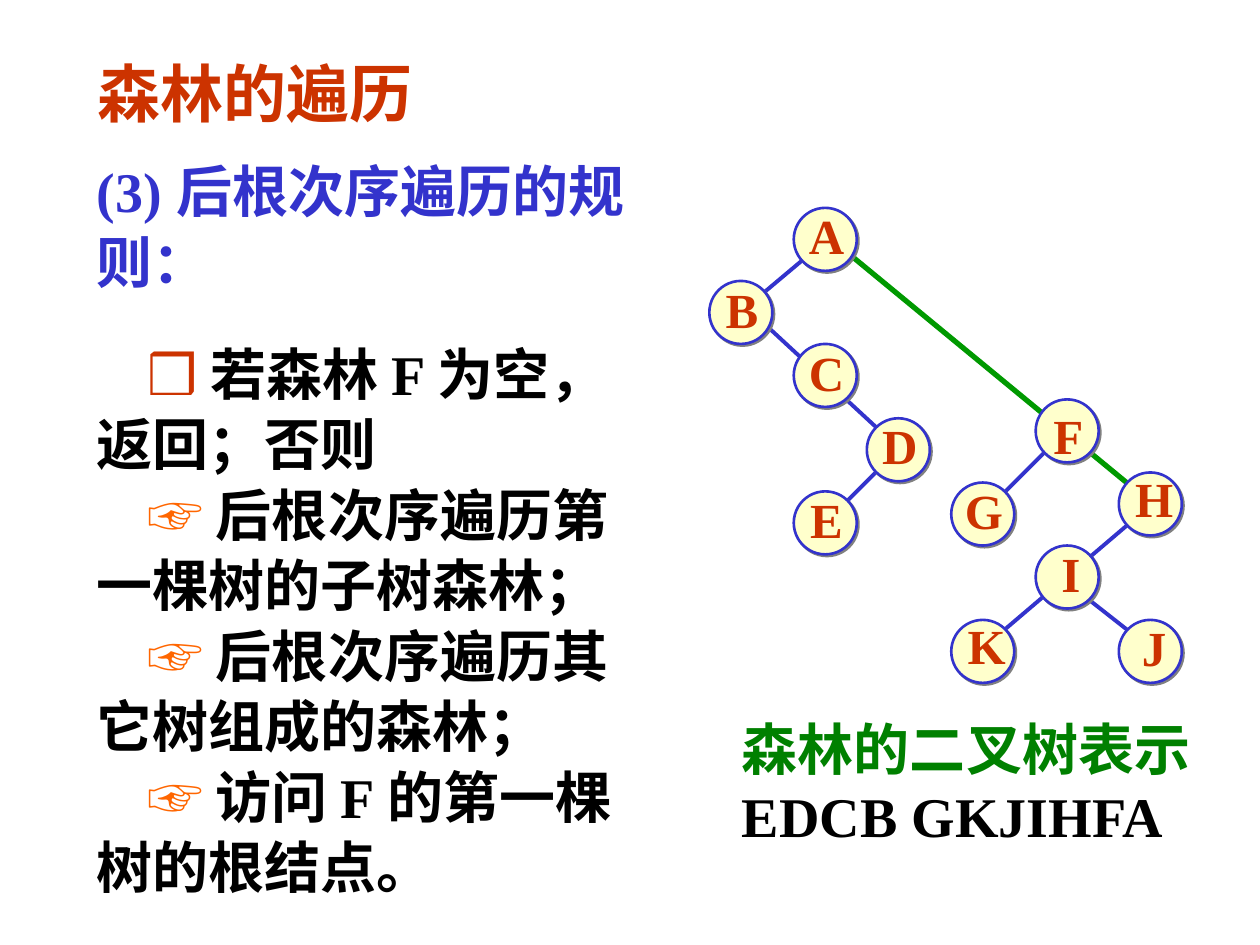
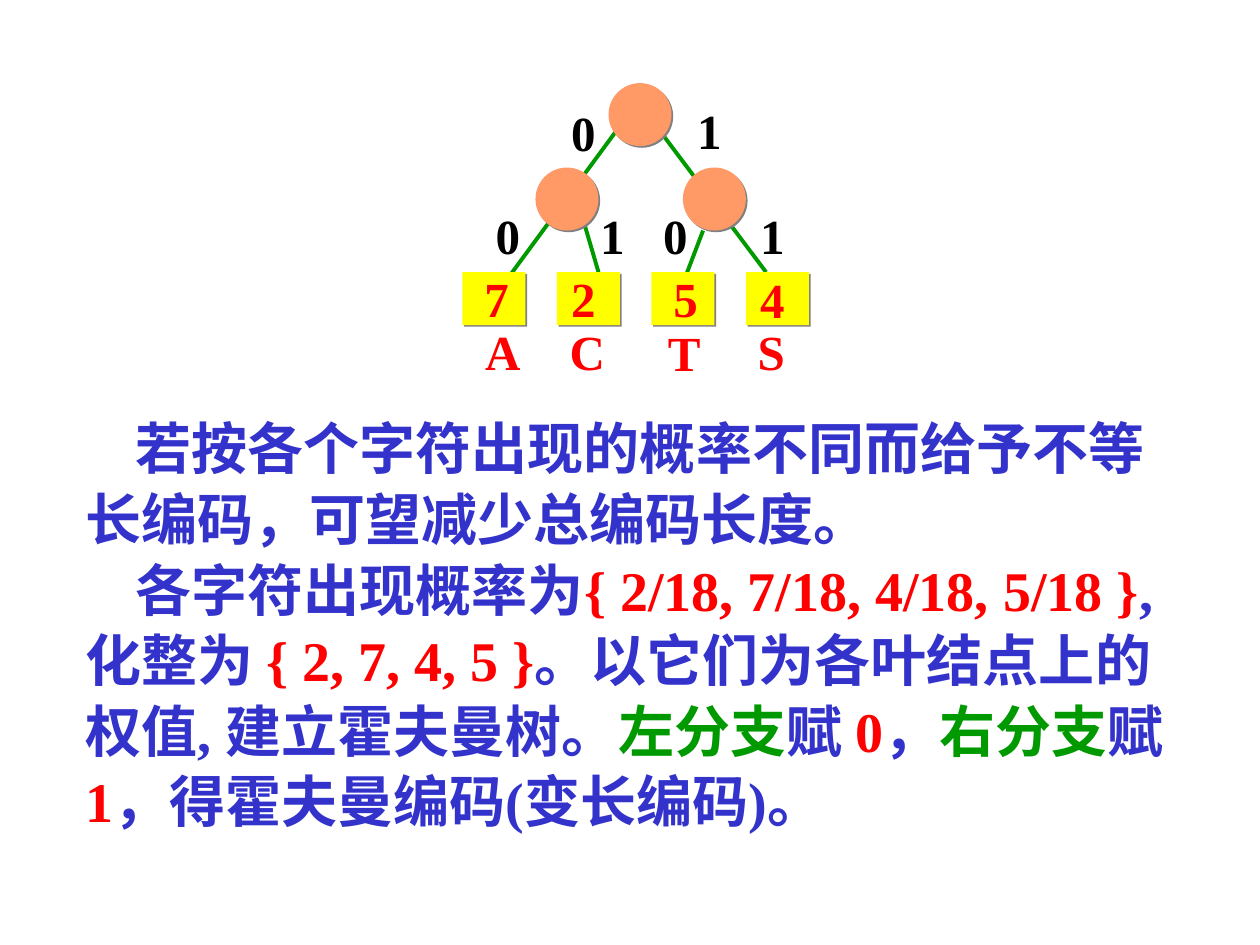
from lxml import etree
from pptx import Presentation
from pptx.dml.color import RGBColor
from pptx.enum import shapes, text
from pptx.oxml import ns
from pptx.util import Inches, Pt

COLOURS = {
    "title": "CC3300", "blue": "3333CC", "green": "009900", "caption": "008000",
    "black": "000000", "red": "FF0000", "hand": "FF6600", "cream": "FFFFCC",
    "coral": "FF9966", "yellow": "FFFF00", "shadow": "808080",
}
SERIF, SANS = "Times New Roman", "Arial"
BODY_SIZE, LABEL_SIZE = 32, 28
NODE = 0.5
LEAF_HEIGHT = 0.42
LABEL_HEIGHT = 0.57
LABEL_WIDTHS = {**dict.fromkeys("GHK", 0.5), **dict.fromkeys("ACD", 0.48),
                **dict.fromkeys("BET", 0.46), "F": 0.44, "S": 0.41, "I": 0.35}
DIGIT_WIDTH = 0.39
FIRST_LINE = 0.4


class TreePage:
    """Draws trees and text on the current slide in the shared style."""

    def __init__(self, deck):
        self.deck = deck
        self.page = None

    def start(self, layout):
        self.page = self.deck.slides.add_slide(self.deck.slide_layouts[layout])

    def colour(self, name):
        return RGBColor.from_string(COLOURS[name])

    def style(self, span, size, colour, font=SERIF):
        span.font.size = Pt(size)
        span.font.name = font
        span.font.bold = True
        span.font.color.rgb = self.colour(colour)

    def title(self, words, left, top, width, height):
        box = self.page.shapes.title
        box.left, box.top, box.width, box.height = map(
            Inches, (left, top, width, height))
        frame = box.text_frame
        frame.text = words
        frame.auto_size = text.MSO_AUTO_SIZE.NONE
        frame.vertical_anchor = text.MSO_ANCHOR.TOP
        frame.paragraphs[0].alignment = text.PP_ALIGN.LEFT
        self.style(frame.paragraphs[0].runs[0], 36, "title", SANS)

    def body(self, left, top, width, height, paras, line_spacing=1.05):
        """Each paragraph is (indented, space before, [(words, colour, font)...])."""
        box = self.page.shapes.add_textbox(
            *map(Inches, (left, top, width, height)))
        frame = box.text_frame
        frame.word_wrap = True
        for index, (indented, gap, pieces) in enumerate(paras):
            para = frame.add_paragraph() if index else frame.paragraphs[0]
            para.line_spacing = line_spacing
            if gap:
                para.space_before = Pt(gap)
            if indented:
                para._p.get_or_add_pPr().set("indent", str(Inches(FIRST_LINE)))
            for words, colour, *font in pieces:
                span = para.add_run()
                span.text = words
                self.style(span, BODY_SIZE, colour, *font)

    def label(self, words, center, top, colour):
        width = LABEL_WIDTHS.get(words, DIGIT_WIDTH)
        box = self.page.shapes.add_textbox(
            Inches(center - width / 2), Inches(top),
            Inches(width), Inches(LABEL_HEIGHT))
        frame = box.text_frame
        frame.text = words
        frame.word_wrap = False
        frame.vertical_anchor = text.MSO_ANCHOR.MIDDLE
        frame.paragraphs[0].alignment = text.PP_ALIGN.CENTER
        self.style(frame.paragraphs[0].runs[0], LABEL_SIZE, colour)

    def edge(self, start, end, colour, weight=2.25):
        line = self.page.shapes.add_connector(
            shapes.MSO_CONNECTOR.STRAIGHT, *map(Inches, (*start, *end)))
        line.line.color.rgb = self.colour(colour)
        line.line.width = Pt(weight)
        etree.SubElement(line._element.spPr, ns.qn("a:effectLst"))

    def node(self, left, top, fill, outline=None, height=NODE,
             kind=shapes.MSO_SHAPE.OVAL):
        shape = self.page.shapes.add_shape(
            kind, *map(Inches, (left, top, NODE, height)))
        shape.fill.solid()
        shape.fill.fore_color.rgb = self.colour(fill)
        if outline:
            shape.line.color.rgb = self.colour(outline)
            shape.line.width = Pt(1.5)
        else:
            shape.line.fill.background()
        self.drop_shadow(shape)

    def drop_shadow(self, shape):
        shape.shadow.inherit = False
        effects = shape._element.spPr.find(ns.qn("a:effectLst"))
        shadow = etree.SubElement(effects, ns.qn("a:outerShdw"), blurRad="0",
                                  dist=str(Pt(1.4)), dir=str(45 * 60000),
                                  algn="ctr", rotWithShape="0")
        etree.SubElement(shadow, ns.qn("a:srgbClr"), val=COLOURS["shadow"])


def forest_traversal(tree):
    tree.start(5)
    tree.title("森林的遍历", 0.67, 0.38, 2.75, 0.7)
    tree.body(5.79, 5.62, 3.79, 1.17, [
        (False, 0, [("森林的二叉树表示", "caption")]),
        (False, 0, [("EDCB GKJIHFA", "black")]),
    ], line_spacing=1.0)

    rules = [
        ("❒", "title", " 若森林 F 为空，", "返回；否则"),
        ("☞", "hand", " 后根次序遍历第", "一棵树的子树森林；"),
        ("☞", "hand", " 后根次序遍历其", "它树组成的森林；"),
        ("☞", "hand", " 访问 F 的第一棵", "树的根结点。"),
    ]
    paras = [(False, 0, [("(3) 后根次序遍历的规则：", "blue")])]
    for index, (marker, colour, first, second) in enumerate(rules):
        gap = 0 if index else 23.5
        paras.append((True, gap, [(marker, colour, SANS), (first, "black")]))
        paras.append((False, 0, [(second, "black")]))
    tree.body(0.67, 1.17, 4.8, 5.46, paras)

    tree.edge((6.72, 2), (9.05, 3.92), "green", 3)
    for start, end in [((7.05, 3.65), (6.63, 4.07)), ((5.97, 2.48), (7.05, 3.48)),
                       ((6.47, 1.98), (5.97, 2.4)), ((8.63, 4.75), (9.05, 5.08)),
                       ((9.05, 4.08), (7.97, 5)), ((8.38, 3.5), (7.88, 4))]:
        tree.edge(start, end, "blue")

    # letter, left, top, then how far its label sits from the node
    nodes = [
        ("A", 6.3, 1.65, 0.01, -0.07), ("B", 5.63, 2.23, 0.01, -0.06),
        ("C", 6.3, 2.73, 0.01, -0.06), ("D", 6.88, 3.32, 0.01, -0.07),
        ("E", 6.3, 3.9, 0.01, -0.07), ("F", 8.22, 3.17, 0.01, 0),
        ("G", 7.55, 3.83, 0.01, -0.07), ("H", 8.88, 3.75, 0.03, -0.08),
        ("I", 8.22, 4.33, 0.03, -0.07), ("J", 8.88, 4.92, 0.03, -0.07),
        ("K", 7.55, 4.92, 0.03, -0.09),
    ]
    for letter, left, top, shift_x, shift_y in nodes:
        tree.node(left, top, "cream", "blue")
        tree.label(letter, left + NODE / 2 + shift_x, top + shift_y, "title")


def huffman_code(tree):
    tree.start(6)
    tree.body(0.58, 3.21, 8.83, 3.46, [
        (True, 0, [("若按各个字符出现的概率不同而给予不等长编码，可望减少总编码长度。", "blue")]),
        (True, 0, [
            ("各字符出现概率为", "blue"), ("{ 2/18, 7/18, 4/18, 5/18 }", "red"),
            (",化整为 ", "blue"), ("{ 2, 7, 4, 5 }", "red"),
            ("。以它们为各叶结点上的权值, 建立霍夫曼树。", "blue"),
            ("左分支", "green"), ("赋 ", "blue"), ("0", "red"), ("，", "blue"),
            ("右分支", "green"), ("赋 ", "blue"), ("1", "red"),
            ("，得霍夫曼编码(变长编码)。", "blue"),
        ]),
    ])

    for start, end in [((5.58, 1.83), (5.42, 2.25)), ((5.08, 0.83), (6.08, 2.16)),
                       ((4.58, 1.58), (4.75, 2.16)), ((4.92, 1), (4, 2.25))]:
        tree.edge(start, end, "green")
    for left, top in [(4.83, 0.66), (4.25, 1.33), (5.42, 1.33)]:
        tree.node(left, top, "coral")

    # weight and letter, each with the centre and top of its label
    leaves = [("7", 3.94, 2.08, "A", 3.99, 2.5), ("2", 4.63, 2.08, "C", 4.66, 2.5),
              ("5", 5.44, 2.08, "T", 5.43, 2.51), ("4", 6.13, 2.09, "S", 6.12, 2.5)]
    for index, (weight, weight_x, weight_y, letter, letter_x, letter_y) in enumerate(leaves):
        tree.node(3.67 + 0.75 * index, 2.16, "yellow", height=LEAF_HEIGHT,
                  kind=shapes.MSO_SHAPE.RECTANGLE)
        tree.label(weight, weight_x, weight_y, "red")
        tree.label(letter, letter_x, letter_y, "red")

    for bit, center, top in [("0", 4.63, 0.76), ("1", 5.63, 0.75),
                             ("0", 4.03, 1.58), ("1", 4.86, 1.58),
                             ("0", 5.36, 1.58), ("1", 6.13, 1.58)]:
        tree.label(bit, center, top, "black")


def main():
    deck = Presentation()
    deck.slide_width, deck.slide_height = Inches(10), Inches(7.5)
    tree = TreePage(deck)
    forest_traversal(tree)
    huffman_code(tree)
    deck.save("out.pptx")


if __name__ == "__main__":
    main()
